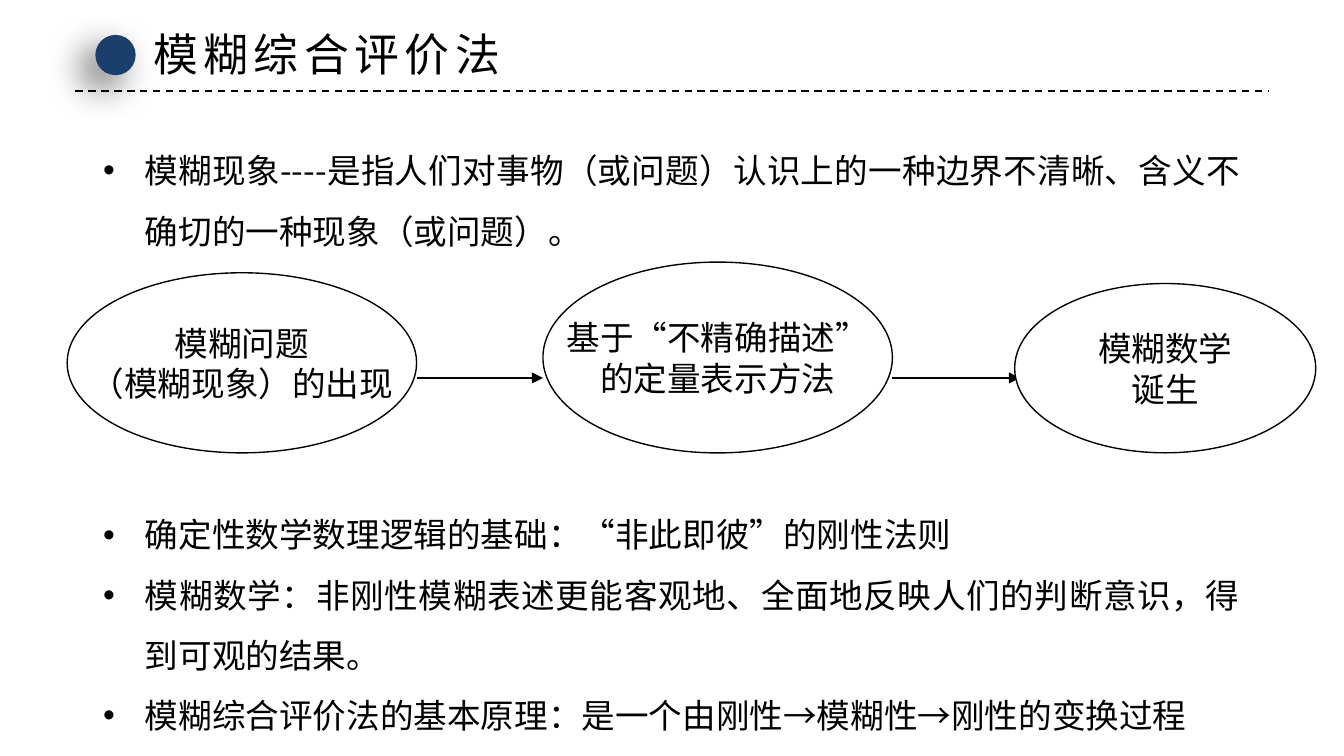
import pptx
import pptx.dml.color
import pptx.enum.dml
import pptx.enum.shapes
import pptx.enum.text
import pptx.util
from lxml import etree
from pptx.oxml.ns import qn

Inches, Pt = pptx.util.Inches, pptx.util.Pt
Align = pptx.enum.text.PP_ALIGN
Anchor = pptx.enum.text.MSO_ANCHOR

BLACK = pptx.dml.color.RGBColor(0x00, 0x00, 0x00)
WHITE = pptx.dml.color.RGBColor(0xFF, 0xFF, 0xFF)
NAVY = pptx.dml.color.RGBColor(0x1A, 0x3F, 0x6C)
FONT = "Noto Sans CJK SC"

WIDTH = 10
HEIGHT = WIDTH * 9 / 16
MARGIN = 0.056 * WIDTH
RULE_Y = 0.68
ARROW_Y = HEIGHT / 2
OVAL_BOTTOM = 3.37
BODY_PITCH, OVAL_PITCH = 32.3, 21.8
DIAGRAM_GAP = 130.5

BULLETS = [
    ("模糊现象----是指人们对事物（或问题）认识上的一种边界不清晰、含义不确切的一种现象（或问题）。", 0),
    ("确定性数学数理逻辑的基础：“非此即彼”的刚性法则", DIAGRAM_GAP),
    ("模糊数学：非刚性模糊表述更能客观地、全面地反映人们的判断意识，得到可观的结果。", 0),
    ("模糊综合评价法的基本原理：是一个由刚性→模糊性→刚性的变换过程", 0),
]
# left, width, height, lines
STAGES = [
    (0.5, 2.6, 1.34, ["模糊问题", "（模糊现象）的出现"]),
    (4.04, 2.6, 1.42, ["基于“不精确描述”", "的定量表示方法"]),
    (7.55, 2.24, 1.26, ["模糊数学", "诞生"]),
]
ARROWS = [(3.1, 4.04), (6.64, 7.59)]


def add_child(parent, tag, **attributes):
    return etree.SubElement(parent, qn(tag), attributes)


def write_text(paragraph, text, size=18, align=Align.LEFT, pitch=None,
               before=0, tracking=None, bullet=False):
    paragraph.alignment = align
    if pitch:
        paragraph.line_spacing = Pt(pitch)
    if before:
        paragraph.space_before = Pt(before)
    if bullet:
        properties = paragraph._p.get_or_add_pPr()
        indent = Inches(0.31)
        properties.set("marL", str(indent))
        properties.set("indent", str(-indent))
        add_child(properties, "a:buFont", typeface="Arial")
        add_child(properties, "a:buChar", char="•")
    run = paragraph.add_run()
    run.text = text
    run.font.size = Pt(size)
    run.font.name = FONT
    run.font.color.rgb = BLACK
    properties = run._r.get_or_add_rPr()
    add_child(properties, "a:ea", typeface=FONT)
    if tracking:
        properties.set("spc", str(tracking * 100))


def add_text_box(slide, left, top, width, height, wrap=True, anchor=Anchor.TOP):
    box = slide.shapes.add_textbox(*map(Inches, (left, top, width, height)))
    box.text_frame.word_wrap = wrap
    box.text_frame.vertical_anchor = anchor
    return box.text_frame


def next_paragraph(frame, index):
    return frame.add_paragraph() if index else frame.paragraphs[0]


def add_oval(slide, left, top, width, height, fill, outlined=True):
    oval = slide.shapes.add_shape(pptx.enum.shapes.MSO_SHAPE.OVAL,
                                  *map(Inches, (left, top, width, height)))
    oval.shadow.inherit = False
    oval.fill.solid()
    oval.fill.fore_color.rgb = fill
    if outlined:
        oval.line.color.rgb = BLACK
        oval.line.width = Pt(0.75)
    else:
        oval.line.fill.background()
    return oval


def add_line(slide, start, end, y, width, dashed=False, arrow=False):
    line = slide.shapes.add_connector(pptx.enum.shapes.MSO_CONNECTOR.STRAIGHT,
                                      *map(Inches, (start, y, end, y)))
    line.line.color.rgb = BLACK
    line.line.width = Pt(width)
    if dashed:
        line.line.dash_style = pptx.enum.dml.MSO_LINE.DASH
    properties = line._element.spPr
    if arrow:
        add_child(properties.get_or_add_ln(), "a:tailEnd", type="triangle")
    add_child(properties, "a:effectLst")


def add_soft_shadow(shape):
    effects = shape._element.spPr.find(qn("a:effectLst"))
    shadow = add_child(effects, "a:outerShdw", blurRad=str(Pt(20)), dist=str(Pt(10)),
                       dir=str(135 * 60000), algn="tr", rotWithShape="0")
    colour = add_child(shadow, "a:srgbClr", val=str(BLACK))
    add_child(colour, "a:alpha", val="60000")


def add_heading(slide):
    add_line(slide, MARGIN, WIDTH - MARGIN, RULE_Y, 1, dashed=True)
    dot = add_oval(slide, 0.71, 0.26, 0.3, 0.3, NAVY, outlined=False)
    add_soft_shadow(dot)
    frame = add_text_box(slide, 1.04, 0.15, 2.85, 0.5, wrap=False, anchor=Anchor.MIDDLE)
    write_text(frame.paragraphs[0], "模糊综合评价法", size=24, tracking=3)


def add_bullets(slide):
    frame = add_text_box(slide, 0.67, 0.92, 8.66, 4.6)
    for index, (text, before) in enumerate(BULLETS):
        write_text(next_paragraph(frame, index), text, align=Align.JUSTIFY,
                   pitch=BODY_PITCH, before=before, bullet=True)


def add_stage(slide, left, width, height, lines):
    """Draw one labelled oval standing on the common bottom line."""
    frame = add_oval(slide, left, OVAL_BOTTOM - height, width, height, WHITE).text_frame
    frame.word_wrap = False
    frame.vertical_anchor = Anchor.MIDDLE
    for index, text in enumerate(lines):
        write_text(next_paragraph(frame, index), text, align=Align.CENTER, pitch=OVAL_PITCH)


def main():
    presentation = pptx.Presentation()
    presentation.slide_width = Inches(WIDTH)
    presentation.slide_height = Inches(HEIGHT)
    slide = presentation.slides.add_slide(presentation.slide_layouts[6])
    add_heading(slide)
    add_bullets(slide)
    for index, stage in enumerate(STAGES):
        add_stage(slide, *stage)
        if index < len(ARROWS):
            add_line(slide, *ARROWS[index], ARROW_Y, 0.75, arrow=True)
    presentation.save("out.pptx")


if __name__ == "__main__":
    main()
